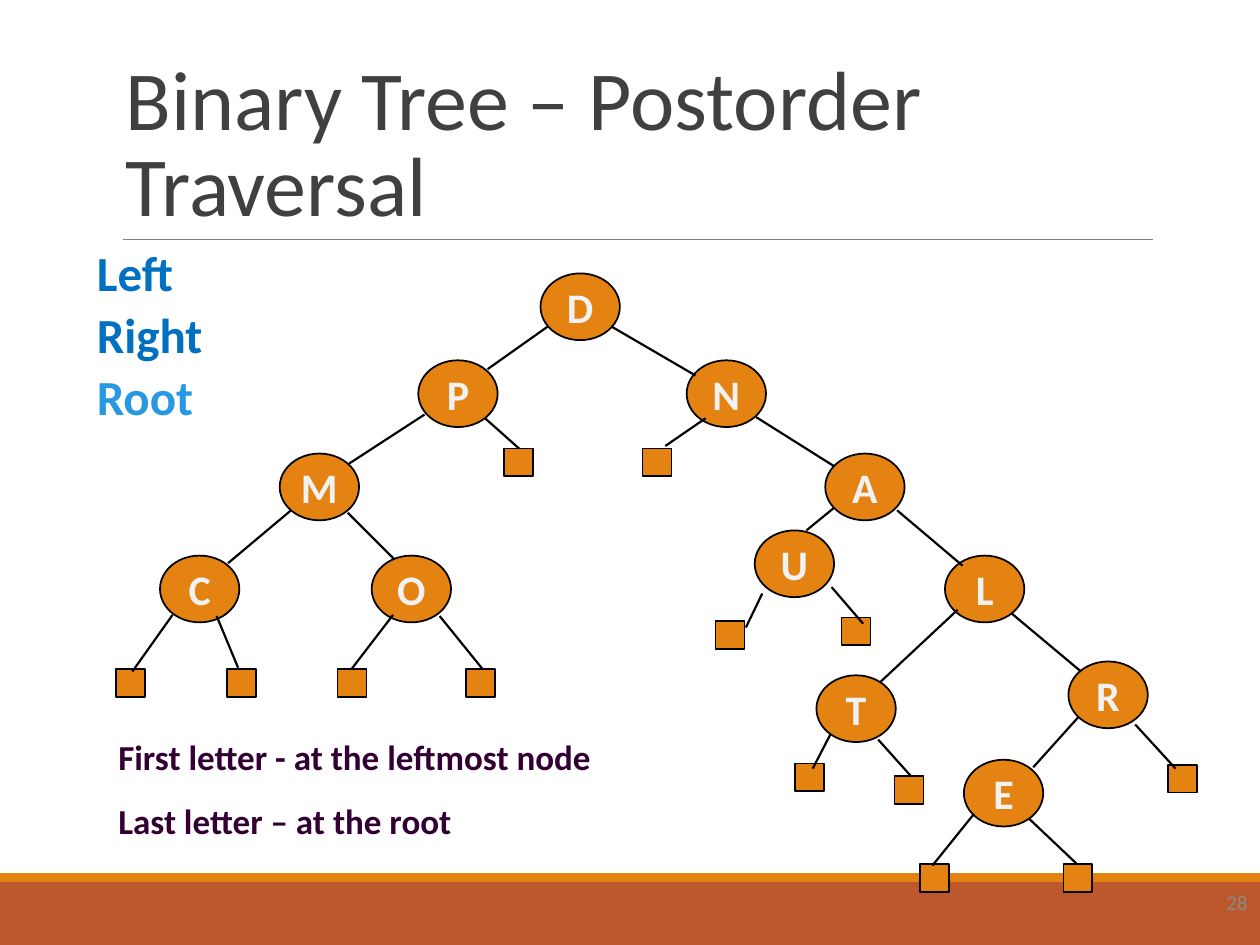
from pptx import Presentation
from pptx import util as u
from pptx.dml.color import RGBColor
from pptx.enum import shapes, text
from pptx.oxml.ns import qn
from lxml import etree

PX = 9144
FONT = "Calibri"
ORANGE, RUST, BLACK, GRAY = "E48312", "BD582C", "000000", "7F7F7F"
NODE_SIZE = (63, 53)
LEAF_SIZE = (23, 22)

TITLE = [("Binary Tree – Postorder Traversal", "404040")]
ORDER = [("Left", "0070C0"), ("Right", "0070C0"), ("Root", "2998E3")]
HINTS = [("First letter - at the leftmost node", "330033"),
         ("Last letter – at the root", "330033")]
PAGE = [("28", "898989")]

NODES = {
    "D": (429, 217), "P": (332, 286), "N": (545, 286), "M": (222, 360),
    "A": (655, 360), "C": (127, 441), "O": (295, 441), "U": (599, 421),
    "L": (750, 441), "T": (648, 536), "R": (848, 525), "E": (765, 603),
}

LEAVES = [
    (92, 531), (180, 531), (268, 531), (370, 531), (400, 356), (510, 356),
    (568, 493), (668, 490), (631, 606), (710, 616), (730, 686), (844, 686),
    (927, 607),
]

EDGES = [
    (435, 259, 387, 293), (485, 259, 552, 298),
    (337, 329, 277, 368), (385, 332, 412, 356),
    (560, 332, 528, 354), (600, 331, 662, 370),
    (231, 405, 181, 447), (276, 407, 313, 444),
    (662, 403, 640, 421), (712, 405, 764, 449),
    (137, 488, 105, 533), (172, 489, 189, 530),
    (312, 488, 279, 531), (349, 489, 383, 531),
    (605, 471, 592, 498), (660, 466, 685, 495),
    (760, 484, 699, 541), (803, 487, 858, 533),
    (659, 583, 645, 610), (697, 587, 723, 616),
    (856, 569, 820, 609), (901, 575, 933, 610),
    (773, 646, 740, 687), (817, 650, 855, 686),
]


def color(value):
    return RGBColor.from_string(value)


def lengths(*values):
    return [value * PX for value in values]


def write(frame, lines, size, bold=False, align=text.PP_ALIGN.LEFT,
          spacing=1.0, before=0):
    frame.text = "\n".join(line for line, _ in lines)
    for index, (paragraph, (_, tint)) in enumerate(zip(frame.paragraphs, lines)):
        paragraph.alignment = align
        paragraph.line_spacing = spacing
        paragraph.space_before = u.Pt(before if index else 0)
        for run in paragraph.runs:
            run.font.name = FONT
            run.font.size = u.Pt(size)
            run.font.bold = bold
            run.font.color.rgb = color(tint)


def add_text(slide, box, lines, size, anchor=text.MSO_ANCHOR.TOP, **style):
    frame = slide.shapes.add_textbox(*lengths(*box)).text_frame
    frame.word_wrap = True
    frame.vertical_anchor = anchor
    write(frame, lines, size, **style)


def add_block(slide, kind, box, fill, outlined=True):
    shape = slide.shapes.add_shape(kind, *lengths(*box))
    shape.shadow.inherit = False
    shape.fill.solid()
    shape.fill.fore_color.rgb = color(fill)
    if outlined:
        shape.line.color.rgb = color(BLACK)
        shape.line.width = u.Pt(1)
    else:
        shape.line.fill.background()
    return shape


def add_line(slide, ends, tint, width):
    line = slide.shapes.add_connector(shapes.MSO_CONNECTOR.STRAIGHT, *lengths(*ends))
    line.line.color.rgb = color(tint)
    line.line.width = u.Pt(width)
    etree.SubElement(line._element.spPr, qn("a:effectLst"))


def add_tree(slide):
    for letter, corner in NODES.items():
        node = add_block(slide, shapes.MSO_SHAPE.OVAL, corner + NODE_SIZE, ORANGE)
        frame = node.text_frame
        frame.word_wrap = False
        frame.vertical_anchor = text.MSO_ANCHOR.MIDDLE
        write(frame, [(letter, "F2F2F2")], 24, bold=True, align=text.PP_ALIGN.CENTER)
    for corner in LEAVES:
        add_block(slide, shapes.MSO_SHAPE.RECTANGLE, corner + LEAF_SIZE, ORANGE)
    for ends in EDGES:
        add_line(slide, ends, BLACK, 1.25)


def main():
    presentation = Presentation()
    presentation.slide_width, presentation.slide_height = lengths(1000, 750)
    slide = presentation.slides.add_slide(presentation.slide_layouts[6])

    rectangle = shapes.MSO_SHAPE.RECTANGLE
    add_block(slide, rectangle, (0, 700, 1000, 50), RUST, outlined=False)
    add_block(slide, rectangle, (0, 693, 1000, 7), ORANGE, outlined=False)
    add_line(slide, (98, 190, 915, 190), GRAY, 0.5)
    add_text(slide, (90, 31, 825, 159), TITLE, 48,
             anchor=text.MSO_ANCHOR.BOTTOM, spacing=0.85)
    add_tree(slide)
    add_text(slide, (67, 193, 218, 151), ORDER, 28, bold=True, spacing=0.9, before=5.2)
    add_text(slide, (84, 579, 508, 94), HINTS, 20, bold=True, before=12.5)
    add_text(slide, (900, 700, 100, 32), PAGE, 12,
             anchor=text.MSO_ANCHOR.MIDDLE, align=text.PP_ALIGN.RIGHT)
    presentation.save("out.pptx")


if __name__ == "__main__":
    main()
